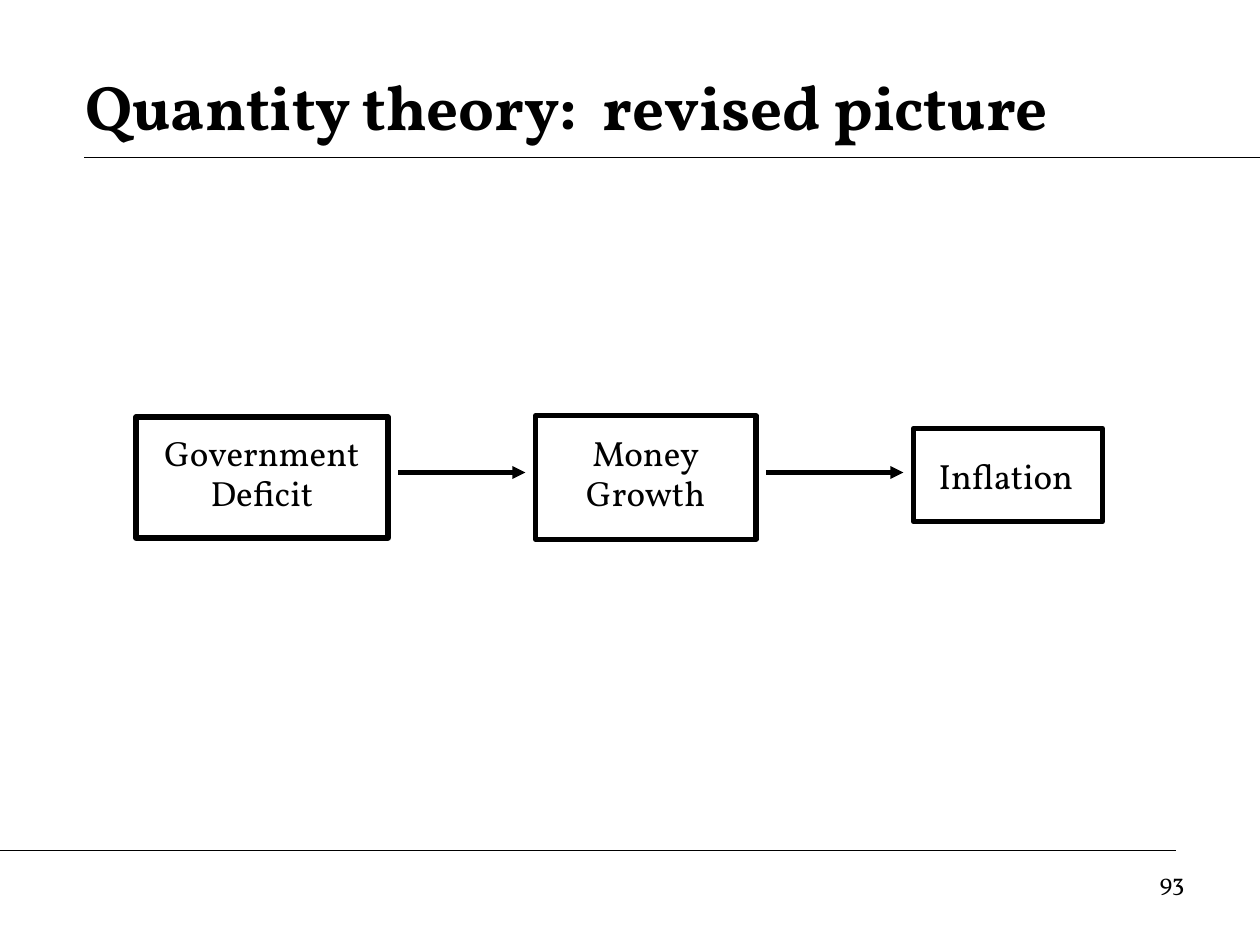
from lxml import etree
from pptx import Presentation
from pptx import util as u
from pptx.dml.color import RGBColor
from pptx.enum import shapes, text
from pptx.oxml import ns

COLORS = {"ink": "000000", "paper": "FFFFFF"}


class FlowSlide:
    """Hold the slide and its style, and draw each kind of element."""

    font = "Vollkorn"
    ink = RGBColor.from_string(COLORS["ink"])

    def __init__(self, deck):
        self.slide = deck.slides.add_slide(deck.slide_layouts[6])
        background = self.slide.background.fill
        background.solid()
        background.fore_color.rgb = RGBColor.from_string(COLORS["paper"])

    def typeset(self, frame, words, size, align, bold=False):
        frame.word_wrap = True
        frame.text = words
        for paragraph in frame.paragraphs:
            paragraph.alignment = align
            for run in paragraph.runs:
                run.font.name = self.font
                run.font.size = u.Pt(size)
                run.font.bold = bold
                run.font.color.rgb = self.ink

    def label(self, words, place, size, align, anchor, bold=False):
        frame = self.slide.shapes.add_textbox(*map(u.Inches, place)).text_frame
        self.typeset(frame, words, size, align, bold)
        frame.vertical_anchor = anchor

    def box(self, words, place, align):
        stage = self.slide.shapes.add_shape(
            shapes.MSO_SHAPE.RECTANGLE, *map(u.Inches, place))
        stage.shadow.inherit = False
        stage.fill.background()
        stage.line.color.rgb = self.ink
        stage.line.width = u.Pt(3)
        frame = stage.text_frame
        frame.margin_left = frame.margin_right = u.Inches(0.2)
        frame.margin_top = frame.margin_bottom = u.Inches(0.2)
        frame.vertical_anchor = text.MSO_ANCHOR.MIDDLE
        self.typeset(frame, words, 20, align)
        if len(frame.paragraphs) > 1:
            for paragraph in frame.paragraphs:
                paragraph.line_spacing = 0.7
            for paragraph in frame.paragraphs[1:]:
                paragraph.space_before = u.Pt(6)

    def rule(self, left, right, y, width=0.75, arrow=False):
        line = self.slide.shapes.add_connector(
            shapes.MSO_CONNECTOR.STRAIGHT,
            u.Inches(left), u.Inches(y), u.Inches(right), u.Inches(y))
        line.line.color.rgb = self.ink
        line.line.width = u.Pt(width)
        properties = line._element.spPr
        if arrow:
            etree.SubElement(properties.find(ns.qn("a:ln")),
                             ns.qn("a:tailEnd"), type="triangle")
        etree.SubElement(properties, ns.qn("a:effectLst"))


def main():
    deck = Presentation()
    deck.slide_width, deck.slide_height = u.Inches(10), u.Inches(7.5)
    page = FlowSlide(deck)
    left, center, right = (text.PP_ALIGN.LEFT, text.PP_ALIGN.CENTER,
                           text.PP_ALIGN.RIGHT)

    for start, end, y in [(0.67, 10, 1.25), (0, 9.33, 6.75),
                          (1.25, 10, 1.25), (0, 7.08, 6.75)]:
        page.rule(start, end, y)
    page.label("93", (7.17, 6.83, 2.33, 0.52), 14, right, text.MSO_ANCHOR.TOP)
    page.label("Quantity theory:  revised picture", (0.58, 0.42, 8.67, 0.83),
               36, left, text.MSO_ANCHOR.MIDDLE, bold=True)

    stages = [
        ("Government\nDeficit", (1.08, 3.31, 2, 0.96), center),
        ("Money\nGrowth", (4.25, 3.3, 1.75, 0.98), center),
        ("Inflation", (7.25, 3.4, 1.5, 0.74), left),
    ]
    for words, place, align in stages:
        page.box(words, place, align)

    gap = 0.08
    for (_, cause, _), (_, effect, _) in zip(stages, stages[1:]):
        page.rule(cause[0] + cause[2] + gap, effect[0] - gap, 3.75,
                  width=2.5, arrow=True)

    deck.save("out.pptx")


if __name__ == "__main__":
    main()
